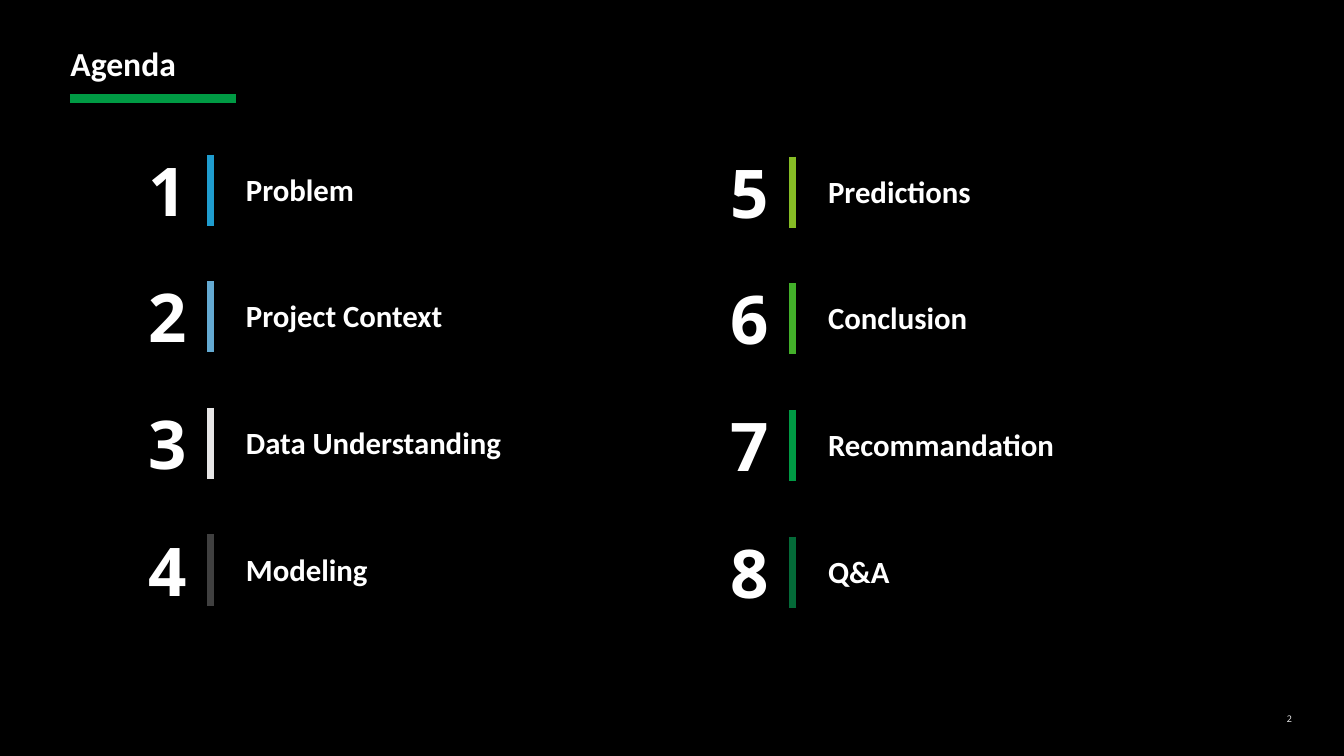
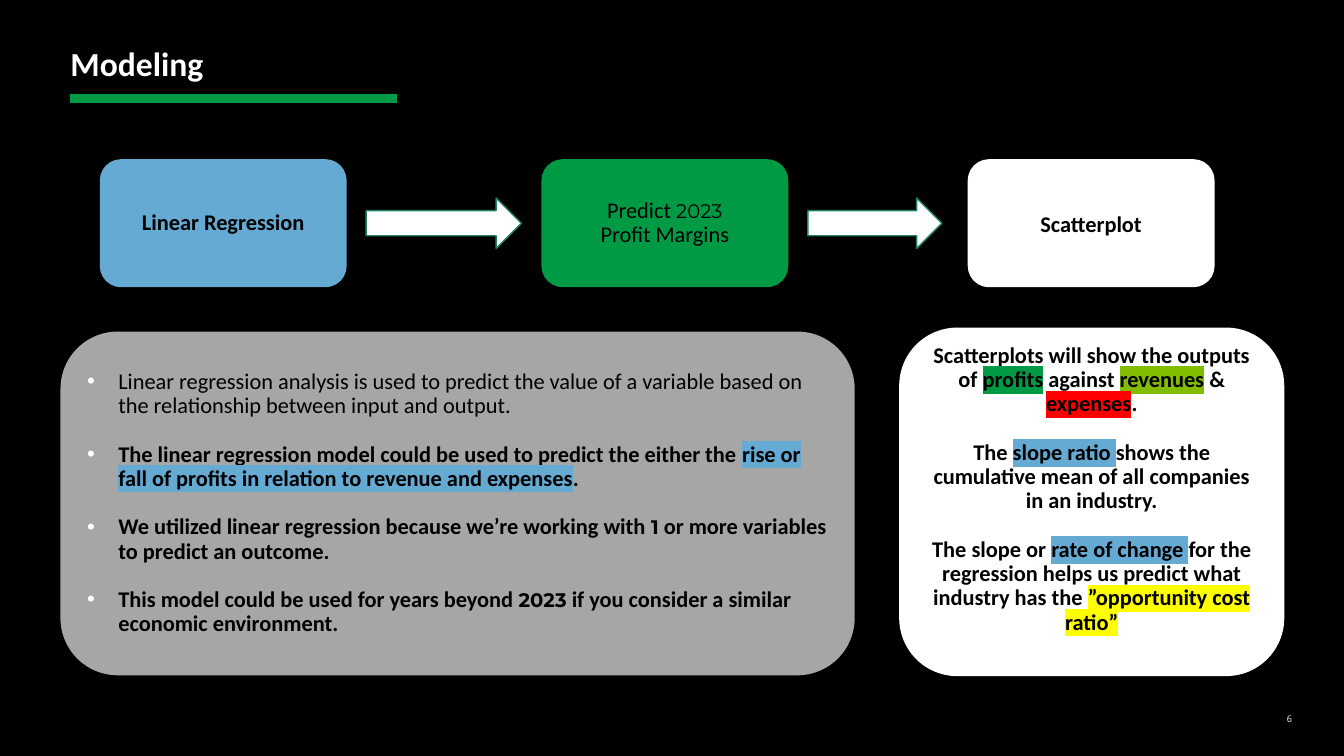
from dataclasses import dataclass, replace
from typing import Optional

from lxml import etree
from pptx import Presentation
from pptx import util as u
from pptx.dml.color import RGBColor
from pptx.enum import shapes, text
from pptx.oxml import ns


@dataclass(frozen=True)
class Theme:
    background: str = "000000"
    light: str = "FFFFFF"
    dark: str = "000000"
    green: str = "009A44"
    blue: str = "64AAD2"
    grey: str = "A6A6A6"
    lime: str = "81BC00"
    red: str = "FF0000"
    yellow: str = "FFFF00"
    arrow_edge: str = "1E8168"
    agenda: tuple = ("1F9DCF", "64AAD2", "E7E6E6", "404040",
                     "86BC25", "43B02A", "009A44", "046A38")
    body_font: str = "Calibri"
    number_font: str = "Open Sans"
    year_font: str = "Montserrat"
    number_size: float = 48
    title_size: float = 24
    label_size: float = 22
    body_size: float = 16
    year_size: float = 14
    page_size: float = 6.5
    paragraph_gap: float = 17.5
    bullet_indent: float = 0.31
    inset: float = 0.1


@dataclass(frozen=True)
class Run:
    text: str
    size: float
    font: str
    color: str
    bold: bool = False
    mark: Optional[str] = None


THEME = Theme()


def heading(words, size):
    return Run(words, size, THEME.body_font, THEME.light, True)


def body(words, mark=None):
    return Run(words, THEME.body_size, THEME.body_font, THEME.dark, True, mark)


def plain(words):
    return replace(body(words), bold=False)


def figure(words, bold=True):
    return Run(words, THEME.year_size, THEME.year_font, THEME.dark, bold)


class Deck:
    columns, rows = 64, 36

    def __init__(self, theme):
        self.theme = theme
        self.presentation = Presentation()
        self.presentation.slide_width = u.Inches(13.33)
        self.presentation.slide_height = u.Inches(7.5)
        fill = self.presentation.slide_master.background.fill
        fill.solid()
        fill.fore_color.rgb = RGBColor.from_string(theme.background)
        self.slide = None

    def x(self, columns):
        return round(self.presentation.slide_width * columns / self.columns)

    def y(self, rows):
        return round(self.presentation.slide_height * rows / self.rows)

    def box(self, left, top, width, height):
        return self.x(left), self.y(top), self.x(width), self.y(height)

    def add_slide(self, title, underline, page):
        blank = self.presentation.slide_layouts[6]
        self.slide = self.presentation.slides.add_slide(blank)
        self.line(3.33, 4.7, 3.33 + underline, 4.7, self.theme.green, 6)
        self.label(2.88, 1.82, 32, 2.4, heading(title, self.theme.title_size))
        number = Run(page, self.theme.page_size, self.theme.number_font, self.theme.light)
        frame = self.label(59.9, 33.98, 1.63, 0.53, number, text.PP_ALIGN.RIGHT)
        self.set_insets(frame, 0)

    def set_insets(self, frame, inset):
        frame.margin_left = frame.margin_right = u.Inches(inset)
        frame.margin_top = frame.margin_bottom = u.Inches(inset)

    def add_runs(self, paragraph, runs):
        for item in runs:
            run = paragraph.add_run()
            run.text = item.text
            run.font.size = u.Pt(item.size)
            run.font.name = item.font
            run.font.bold = item.bold
            run.font.color.rgb = RGBColor.from_string(item.color)
            if item.mark:
                properties = run.font._element
                highlight = etree.Element(ns.qn("a:highlight"))
                etree.SubElement(highlight, ns.qn("a:srgbClr"), val=item.mark)
                properties.find(ns.qn("a:solidFill")).addnext(highlight)

    def add_bullet(self, paragraph):
        properties = paragraph._p.get_or_add_pPr()
        indent = u.Inches(self.theme.bullet_indent)
        properties.set("marL", str(indent))
        properties.set("indent", str(-indent))
        color = etree.SubElement(properties, ns.qn("a:buClr"))
        etree.SubElement(color, ns.qn("a:srgbClr"), val=self.theme.light)
        etree.SubElement(properties, ns.qn("a:buFont"), typeface="Arial")
        etree.SubElement(properties, ns.qn("a:buChar"), char="•")

    def label(self, left, top, width, height, run, align=text.PP_ALIGN.LEFT):
        frame = self.slide.shapes.add_textbox(*self.box(left, top, width, height)).text_frame
        frame.word_wrap = True
        paragraph = frame.paragraphs[0]
        paragraph.alignment = align
        self.add_runs(paragraph, [run])
        return frame

    def line(self, left, top, right, bottom, color, weight):
        connector = self.slide.shapes.add_connector(
            shapes.MSO_CONNECTOR.STRAIGHT,
            self.x(left), self.y(top), self.x(right), self.y(bottom))
        connector.line.color.rgb = RGBColor.from_string(color)
        connector.line.width = u.Pt(weight)
        etree.SubElement(connector._element.spPr, ns.qn("a:effectLst"))

    def shape(self, kind, place, fill):
        shape = self.slide.shapes.add_shape(kind, *self.box(*place))
        shape.shadow.inherit = False
        shape.fill.solid()
        shape.fill.fore_color.rgb = RGBColor.from_string(fill)
        shape.line.fill.background()
        return shape

    def arrow(self, left, top, width, height):
        shape = self.shape(shapes.MSO_SHAPE.RIGHT_ARROW,
                           (left, top, width, height), self.theme.light)
        shape.line.color.rgb = RGBColor.from_string(self.theme.arrow_edge)
        shape.line.width = u.Pt(1)

    def card(self, place, fill, paragraphs, bullets=False, gap=0, spacing=0.9):
        frame = self.shape(shapes.MSO_SHAPE.ROUNDED_RECTANGLE, place, fill).text_frame
        frame.word_wrap = True
        frame.vertical_anchor = text.MSO_ANCHOR.MIDDLE
        self.set_insets(frame, self.theme.inset)
        for index, runs in enumerate(paragraphs):
            paragraph = frame.add_paragraph() if index else frame.paragraphs[0]
            paragraph.alignment = text.PP_ALIGN.LEFT if bullets else text.PP_ALIGN.CENTER
            paragraph.line_spacing = spacing
            paragraph.space_before = u.Pt(gap if index else 0)
            if bullets:
                self.add_bullet(paragraph)
            self.add_runs(paragraph, runs)
        return frame


def build_agenda(deck):
    theme = deck.theme
    deck.add_slide("Agenda", 7.92, "2")
    topics = ("Problem", "Project Context", "Data Understanding", "Modeling",
              "Predictions", "Conclusion", "Recommandation", "Q&A")
    for index, (topic, color) in enumerate(zip(topics, theme.agenda)):
        column, row = divmod(index, 4)
        left = 6.58 + 27.72 * column
        top = 7.36 + 6.03 * row + 0.1 * column
        number = Run(str(index + 1), theme.number_size, theme.number_font, theme.light, True)
        deck.label(left, top - 0.5, 3.1, 4.37, number)
        deck.label(left + 4.66, top + 0.52, 16, 2.26, heading(topic, theme.label_size))
        deck.line(left + 3.45, top, left + 3.45, top + 3.39, color, 5)


def build_modeling(deck):
    theme = deck.theme
    deck.add_slide("Modeling", 15.58, "6")
    top, width, height = 7.58, 11.76, 6.1
    steps = (
        (4.75, theme.blue, [[body("Linear Regression")]], 0.9),
        (25.78, theme.green,
         [[plain("Predict "), figure("2023", False)], [plain("Profit Margins")]], 0.9),
        (46.08, theme.light, [[body("Scatterplot")]], 1.06),
    )
    for left, fill, paragraphs, spacing in steps:
        deck.card((left, top, width, height), fill, paragraphs, spacing=spacing)
    for step, length in zip(steps, (7.39, 6.38)):
        deck.arrow(step[0] + width + 0.93, top + height / 2 - 1.2, length, 2.4)

    deck.card((2.88, 15.79, 37.82, 16.37), theme.grey, [
        [plain("Linear regression analysis is used to predict the value of a variable "
               "based on the relationship between input and output.")],
        [body("The linear regression model could be used to predict the either the "),
         body("rise or fall of profits in relation to revenue and expenses", theme.blue),
         body(".")],
        [body("We utilized linear regression because we’re working with "),
         figure("1"), body(" or more variables to predict an outcome.")],
        [body("This model could be used for years beyond "),
         figure("2023"), body(" if you consider a similar economic environment.")],
    ], bullets=True, gap=theme.paragraph_gap)

    frame = deck.card((42.82, 15.6, 18.34, 16.6), theme.light, [
        [body("Scatterplots will show the outputs of "), body("profits", theme.green),
         body(" against "), body("revenues", theme.lime), body(" & "),
         body("expenses", theme.red), body(".")],
        [body("The "), body("slope ratio ", theme.blue),
         body("shows the cumulative mean of all companies in an industry.")],
        [body("The slope or "), body("rate of change ", theme.blue),
         body("for the regression helps us predict what industry has the "),
         body("”opportunity cost ratio”", theme.yellow)],
    ], gap=theme.paragraph_gap)
    frame.margin_bottom = u.Inches(theme.inset) + u.Pt(theme.paragraph_gap)


def main():
    deck = Deck(THEME)
    build_agenda(deck)
    build_modeling(deck)
    deck.presentation.save("out.pptx")


if __name__ == "__main__":
    main()
